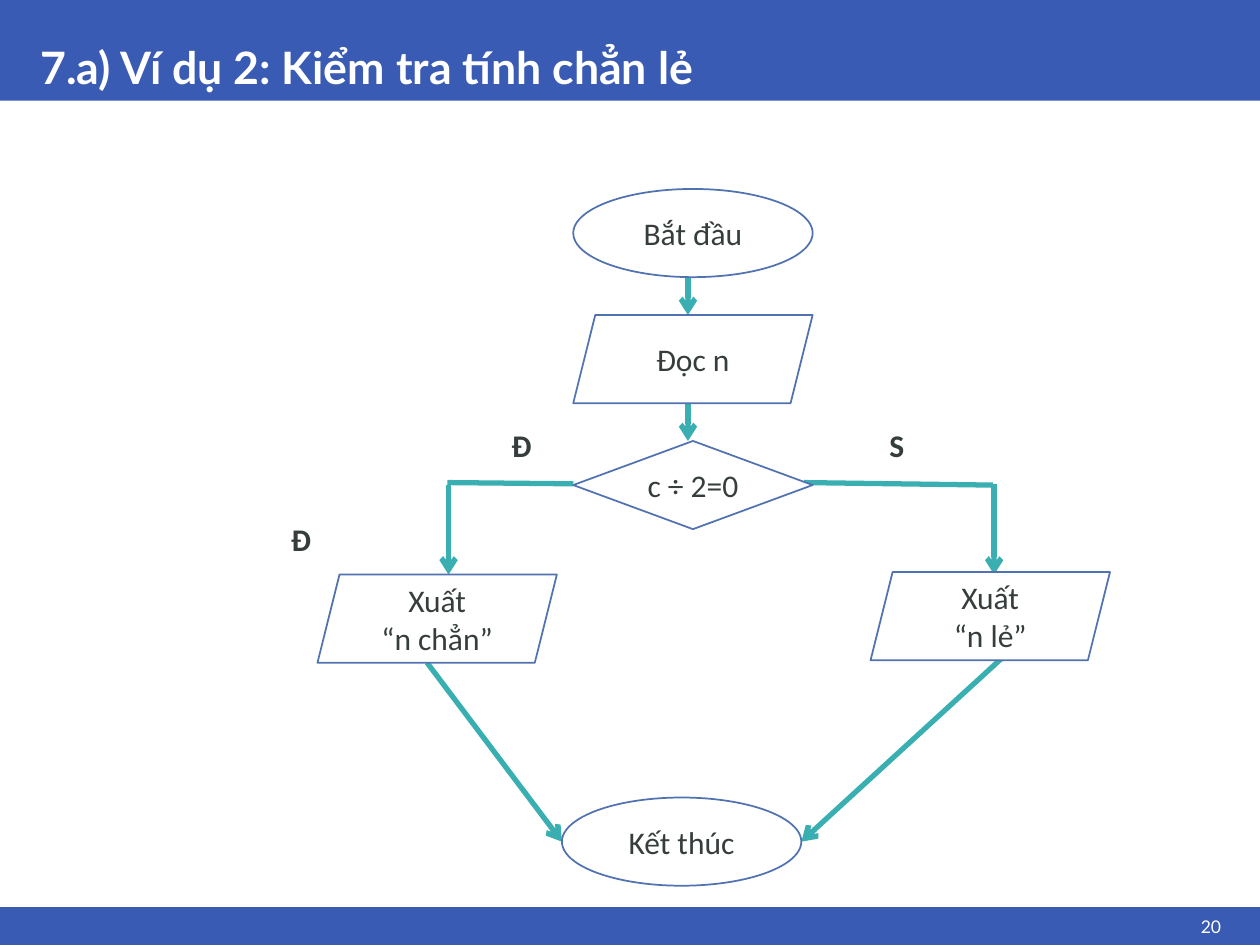
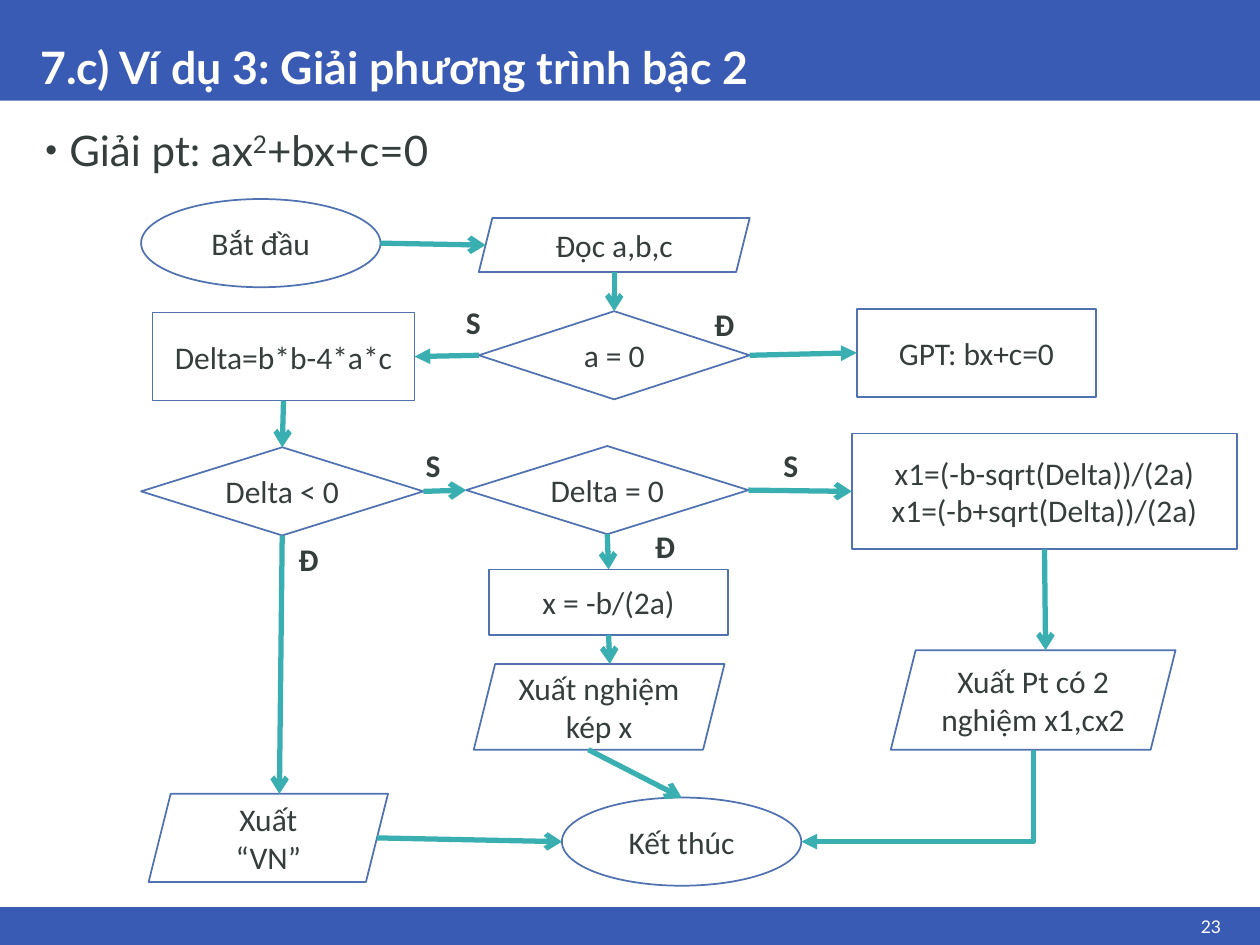
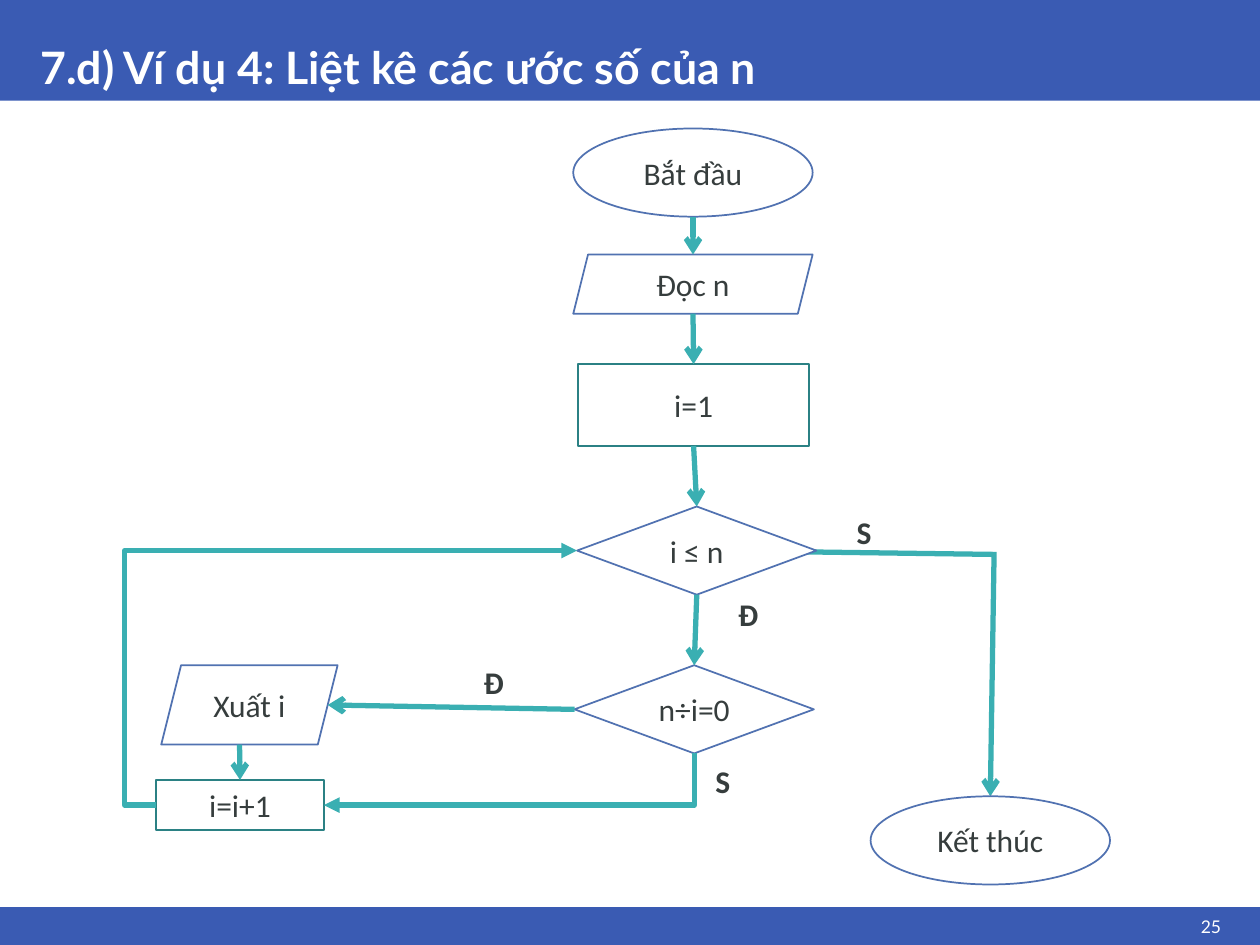
from lxml.etree import SubElement
from pptx import Presentation
from pptx.dml.color import RGBColor
from pptx.enum.shapes import MSO_CONNECTOR, MSO_SHAPE
from pptx.enum.text import MSO_ANCHOR, MSO_AUTO_SIZE, PP_ALIGN
from pptx.oxml.ns import qn
from pptx.util import Inches, Pt

# Grid: 100 columns by 75 rows of square cells
CELL = Inches(0.1)
COLS, ROWS = 100, 75

BLUE = RGBColor(0x3A, 0x5B, 0xB3)
OUTLINE = RGBColor(0x51, 0x72, 0xB1)
TEAL = RGBColor(0x3A, 0xAF, 0xB2)
DARK_TEAL = RGBColor(0x2B, 0x81, 0x84)
INK = RGBColor(0x36, 0x3D, 0x3D)
WHITE = RGBColor(0xFF, 0xFF, 0xFF)

TITLE = {"name": "Lato", "size": Pt(25.5), "bold": True}
BODY = {"name": "Lato", "size": Pt(24)}
NUMBER = {"name": "Lato", "size": Pt(10)}
NODE = {"name": "Calibri", "size": Pt(18)}
LABEL = {**NODE, "bold": True}

OVAL, RECT = MSO_SHAPE.OVAL, MSO_SHAPE.RECTANGLE
DATA, TEST = MSO_SHAPE.PARALLELOGRAM, MSO_SHAPE.DIAMOND

# Edge points: share of width, share of height, slant shift in eighths of height
SIDES = {"top": (0.5, 0, 0), "bottom": (0.5, 1, 0),
         "left": (0, 0.5, 0), "right": (1, 0.5, 0),
         "slant top": (0.5, 0, 1), "slant bottom": (0.5, 1, -1),
         "slant left": (0, 0.5, 1), "slant right": (1, 0.5, -1)}


def cells(*values):
    return [round(v * CELL) for v in values]


def side(shape, name):
    fx, fy, slant = SIDES[name]
    return (round(shape.left + fx * shape.width + slant * shape.height / 8),
            round(shape.top + fy * shape.height))


def style(p, text, values, color):
    r = p.add_run()
    r.text = text
    for key, value in values.items():
        setattr(r.font, key, value)
    r.font.color.rgb = color
    return r


def frame(shape, **values):
    tf = shape.text_frame
    settings = {"word_wrap": True, "auto_size": MSO_AUTO_SIZE.NONE, **values}
    for key, value in settings.items():
        setattr(tf, key, value)
    return tf


def place(shape, *box):
    for key, value in zip(("left", "top", "width", "height"), cells(*box)):
        setattr(shape, key, value)


# Shared slide parts
def add_band(prs, s, top, height):
    band = s.shapes.add_shape(RECT, *cells(0, top, COLS, height))
    band.shadow.inherit = False
    band.fill.solid()
    band.fill.fore_color.rgb = BLUE
    band.line.fill.background()
    prs.slide_master.shapes.element.insert(2, band.element)


def add_slide(prs, layout, title, number):
    s = prs.slides.add_slide(prs.slide_layouts[layout])
    place(s.shapes.title, 2.2, 0, 95.7, 8)
    p = frame(s.shapes.title, vertical_anchor=MSO_ANCHOR.BOTTOM).paragraphs[0]
    p.alignment, p.line_spacing = PP_ALIGN.LEFT, 0.9
    style(p, title, TITLE, WHITE)
    sp = s.shapes.add_textbox(*cells(92.6, 72.2, 5.3, 2.6))
    p = frame(sp, vertical_anchor=MSO_ANCHOR.MIDDLE).paragraphs[0]
    p.alignment = PP_ALIGN.RIGHT
    style(p, number, NUMBER, WHITE)
    return s


def add_equation(s):
    body = s.placeholders[1]
    place(body, 2.2, 9.8, 95.7, 7.8)
    p = frame(body, vertical_anchor=MSO_ANCHOR.TOP).paragraphs[0]
    p.line_spacing, p.space_before = 0.9, Pt(13.5)
    pPr = p._p.get_or_add_pPr()
    pPr.set("marL", str(Inches(0.23)))
    pPr.set("indent", str(Inches(-0.19)))
    SubElement(pPr, qn("a:buSzPct"), val="80000")
    SubElement(pPr, qn("a:buChar"), char="•")
    style(p, "Giải pt: ax", BODY, INK)
    power = style(p, "2", BODY, INK)
    power._r.get_or_add_rPr().set("baseline", "30000")
    style(p, "+bx+c=0", BODY, INK)


# Flowchart elements
def add_node(s, kind, text, *box, line=OUTLINE, filled=True):
    sp = s.shapes.add_shape(kind, *cells(*box))
    sp.shadow.inherit = False
    if filled:
        sp.fill.solid()
        sp.fill.fore_color.rgb = WHITE
    else:
        sp.fill.background()
    sp.line.color.rgb, sp.line.width = line, Pt(1)
    inset = Inches(0.05)
    tf = frame(sp, vertical_anchor=MSO_ANCHOR.MIDDLE,
               margin_left=inset, margin_right=inset)
    for i, line_text in enumerate(text.split("\n")):
        p = tf.add_paragraph() if i else tf.paragraphs[0]
        p.alignment = PP_ALIGN.CENTER
        style(p, line_text, NODE, INK)
    return sp


def add_labels(s, *labels):
    for text, col, row in labels:
        sp = s.shapes.add_textbox(*cells(col, row, 4, 4))
        style(frame(sp).paragraphs[0], text, LABEL, INK)


def add_link(s, start, end, head="arrow", kind=MSO_CONNECTOR.STRAIGHT):
    c = s.shapes.add_connector(kind, *start, *end)
    c.line.color.rgb, c.line.width = TEAL, Pt(3)
    if head:
        SubElement(c.line._get_or_add_ln(), qn("a:tailEnd"), type=head)
    SubElement(c.element.spPr, qn("a:effectLst"))
    return c


def add_links(s, *links):
    for a, a_side, b, b_side, *head in links:
        add_link(s, side(a, a_side), side(b, b_side), *head)


def add_down_left(s, start, end):
    """Elbow that runs down, then left: a right-then-down one turned 90°."""
    (x1, y1), (x2, y2) = start, end
    w, h = y2 - y1, x1 - x2
    left, top = (x1 + x2 - w) // 2, (y1 + y2 - h) // 2
    c = add_link(s, (left, top), (left + w, top + h), "triangle",
                 MSO_CONNECTOR.ELBOW)
    c.element.spPr.find(qn("a:xfrm")).set("rot", str(90 * 60000))
    c.element.spPr.find(qn("a:prstGeom")).set("prst", "bentConnector2")


def add_loop_back(s, start, end, bulge):
    """Elbow that leaves to the left by a share of its width and returns."""
    c = add_link(s, start, end, "triangle", MSO_CONNECTOR.ELBOW)
    geom = c.element.spPr.find(qn("a:prstGeom"))
    guides = geom.find(qn("a:avLst"))
    if guides is None:
        guides = SubElement(geom, qn("a:avLst"))
    SubElement(guides, qn("a:gd"), name="adj1",
               fmla=f"val {round(-bulge * 100000)}")


# Slides
def parity_slide(s):
    for x1, y1, x2, y2, head in (
            (54.6, 21.7, 54.6, 25, "arrow"), (54.6, 31.7, 54.6, 35, "arrow"),
            (82.5, 49.5, 63.6, 66.8, "arrow"), (33.9, 52.6, 44.6, 66.8, "arrow"),
            (78.9, 38.4, 78.9, 45.6, "arrow"), (63.8, 38.3, 78.8, 38.5, None),
            (35.5, 38.3, 45.5, 38.4, None), (35.6, 38.5, 35.6, 45.6, "arrow")):
        add_link(s, cells(x1, y1), cells(x2, y2), head)
    for kind, text, col, row in (
            (OVAL, "Bắt đầu", 45.5, 15), (DATA, "Đọc n", 45.5, 25),
            (TEST, "c ÷ 2=0", 45.5, 35), (DATA, "Xuất\n“n chẳn”", 25.2, 45.6),
            (OVAL, "Kết thúc", 44.6, 63.3), (DATA, "Xuất\n“n lẻ”", 69.1, 45.4)):
        add_node(s, kind, text, col, row, 19, 7)
    add_labels(s, ("S", 69.6, 33.3), ("Đ", 39.6, 33.3), ("Đ", 22.1, 40.8))


def quadratic_slide(s):
    add_equation(s)
    start = add_node(s, OVAL, "Bắt đầu", 11.2, 15.8, 19, 7)
    read = add_node(s, DATA, "Đọc a,b,c", 38, 17.3, 21.5, 4.3)
    a_zero = add_node(s, TEST, "a = 0", 38, 24.7, 21.5, 7)
    linear = add_node(s, RECT, "GPT: bx+c=0", 68, 24.5, 19, 7)
    delta = add_node(s, RECT, "Delta=b*b-4*a*c", 12.1, 24.8, 20.8, 7)
    negative = add_node(s, TEST, "Delta < 0", 11.2, 35.5, 22.4, 7)
    zero = add_node(s, TEST, "Delta = 0", 37, 35.4, 22.4, 7)
    roots = add_node(s, RECT, "x1=(-b-sqrt(Delta))/(2a)\nx1=(-b+sqrt(Delta))/(2a)",
                     67.6, 34.4, 30.6, 9.2)
    double = add_node(s, RECT, "x = -b/(2a)", 38.8, 45.2, 19, 5.2)
    show_double = add_node(s, DATA, "Xuất nghiệm kép x", 37.6, 52.7, 19.9, 6.8)
    show_none = add_node(s, DATA, "Xuất\n“VN”", 11.8, 63, 19, 7)
    show_roots = add_node(s, DATA, "Xuất Pt có 2 nghiệm x1,cx2", 70.7, 51.6, 22.6, 7.9)
    add_links(
        s, (start, "right", read, "slant left"),
        (read, "bottom", a_zero, "top"),
        (a_zero, "right", linear, "left", "triangle"),
        (a_zero, "left", delta, "right", "triangle"),
        (delta, "bottom", negative, "top"),
        (negative, "right", zero, "left"),
        (negative, "bottom", show_none, "slant top"),
        (zero, "bottom", double, "top"),
        (zero, "right", roots, "left"),
        (double, "bottom", show_double, "slant top"),
        (roots, "bottom", show_roots, "slant top"))
    end = add_node(s, OVAL, "Kết thúc", 44.6, 63.3, 19, 7)
    add_links(s, (show_double, "slant bottom", end, "top"),
              (show_none, "slant right", end, "left"))
    add_down_left(s, side(show_roots, "bottom"), side(end, "right"))
    add_labels(s, ("S", 36, 23.6), ("Đ", 55.7, 23.7), ("Đ", 22.7, 42.4),
               ("S", 32.8, 34.9), ("Đ", 51, 41.3), ("S", 61.2, 34.9))


def divisors_slide(s):
    add_link(s, cells(78.9, 43.8), cells(78.6, 63.2))
    add_link(s, cells(63.8, 43.8), cells(78.8, 44), None)
    start = add_node(s, OVAL, "Bắt đầu", 45.5, 10.2, 19, 7)
    read = add_node(s, DATA, "Đọc n", 45.5, 20.2, 19, 4.7)
    first = add_node(s, RECT, "i=1", 45.9, 28.9, 18.3, 6.5,
                     line=DARK_TEAL, filled=False)
    in_range = add_node(s, TEST, "i ≤ n", 45.8, 40.2, 19, 7)
    divides = add_node(s, TEST, "n÷i=0", 45.6, 52.8, 19, 7)
    show = add_node(s, DATA, "Xuất i", 12.8, 52.8, 14, 6.3)
    step = add_node(s, RECT, "i=i+1", 12.4, 61.9, 13.3, 4,
                    line=DARK_TEAL, filled=False)
    add_node(s, OVAL, "Kết thúc", 69.1, 63.2, 19, 7)
    add_links(
        s, (start, "bottom", read, "top"), (read, "bottom", first, "top"),
        (first, "bottom", in_range, "top"), (in_range, "bottom", divides, "top"),
        (divides, "left", show, "slant right"),
        (show, "slant bottom", step, "top"))
    add_loop_back(s, side(step, "left"), side(in_range, "left"), 0.075)
    add_down_left(s, side(divides, "bottom"), side(step, "right"))
    add_labels(s, ("S", 67, 40.2), ("Đ", 57.6, 46.7), ("Đ", 37.4, 52.1),
               ("S", 55.8, 60))


def main():
    prs = Presentation()
    prs.slide_width, prs.slide_height = cells(COLS, ROWS)
    slides = (
        (5, "7.a) Ví dụ 2: Kiểm tra tính chẳn lẻ", "20", parity_slide),
        (1, "7.c) Ví dụ 3: Giải phương trình bậc 2", "23", quadratic_slide),
        (5, "7.d) Ví dụ 4: Liệt kê các ước số của n", "25", divisors_slide))
    for layout, title, number, draw in slides:
        draw(add_slide(prs, layout, title, number))
    for top, height in ((0, 8), (72, 3)):
        add_band(prs, prs.slides[0], top, height)
    prs.save("out.pptx")


if __name__ == "__main__":
    main()
